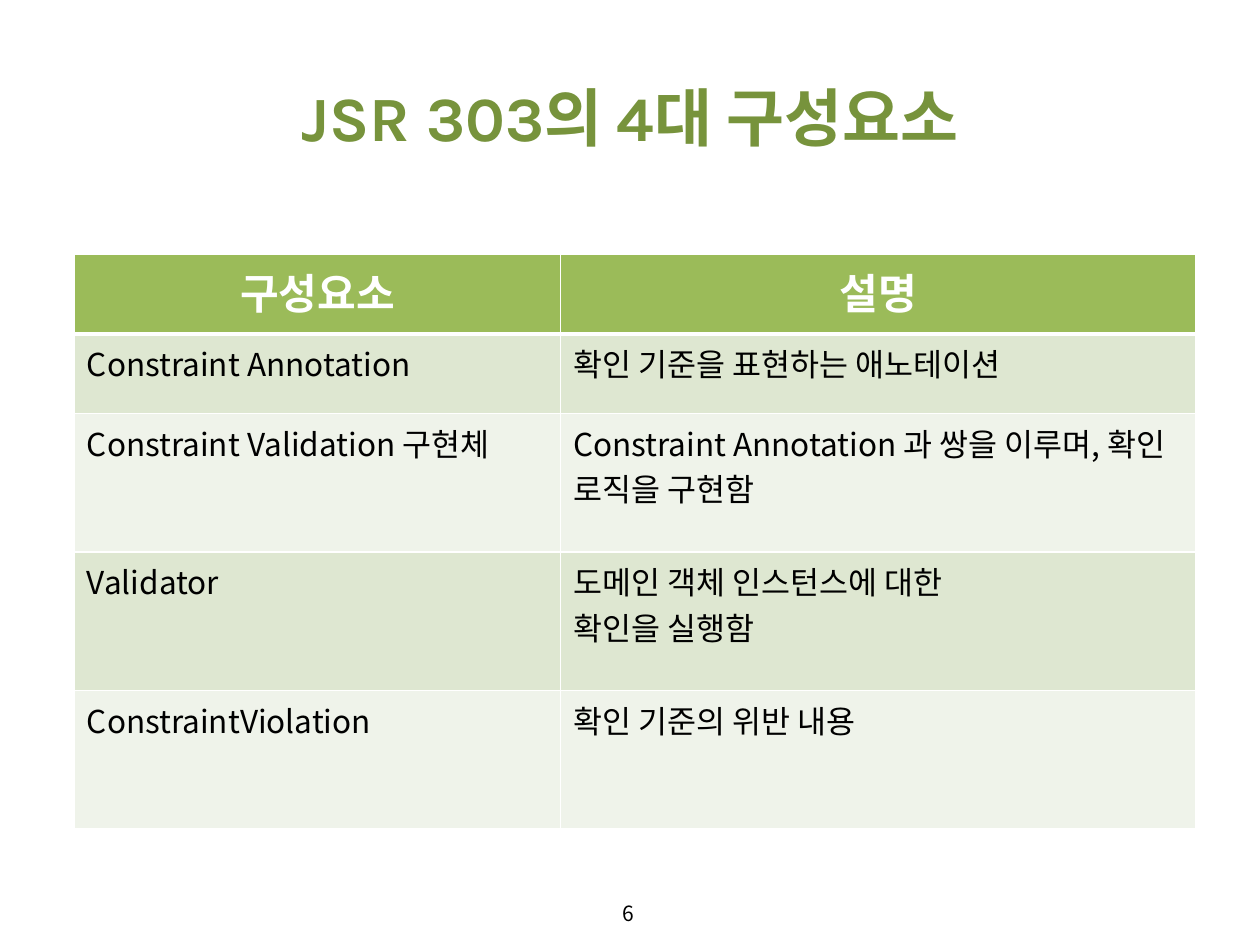
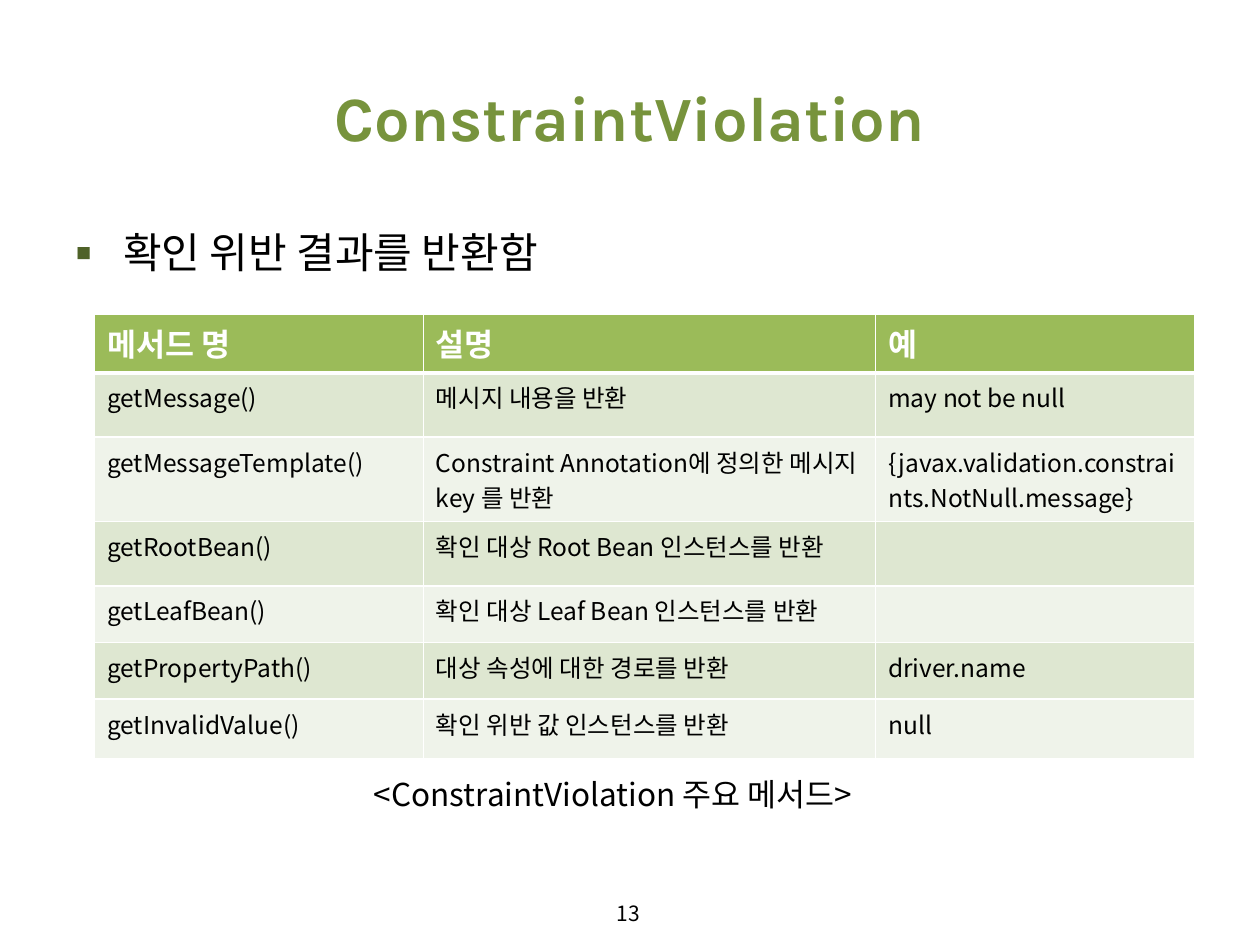
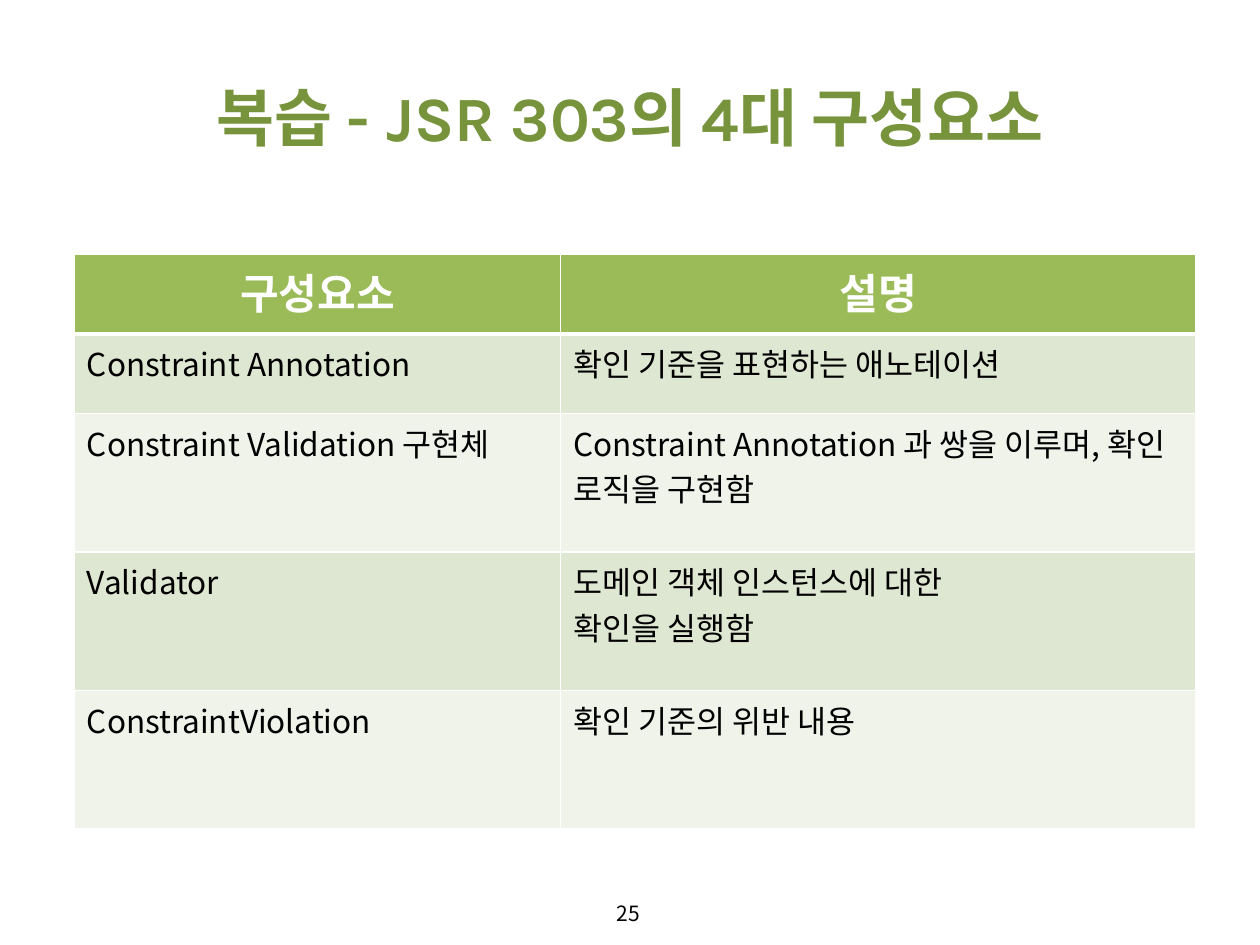
from dataclasses import dataclass

from lxml.etree import SubElement
from pptx import Presentation
from pptx.dml.color import RGBColor
from pptx.enum.text import MSO_ANCHOR, MSO_AUTO_SIZE, PP_ALIGN
from pptx.oxml.ns import qn
from pptx.slide import Slide
from pptx.table import _Cell
from pptx.text.text import TextFrame, _Paragraph
from pptx.util import Inches, Pt

TITLE_GREEN = "77933C"
HEADER_GREEN = "9BBB59"
BULLET_GREEN = "4F6228"
BAND_COLORS = ("EFF3EA", "DEE7D1")
WHITE = "FFFFFF"
BLACK = "000000"
TITLE_FONT = "Karla"
BODY_FONT = "Noto Sans CJK KR"


@dataclass(frozen=True)
class TextStyle:
    size: int
    color: str = BLACK
    font: str = BODY_FONT
    bold: bool = False
    align: PP_ALIGN = PP_ALIGN.LEFT


@dataclass(frozen=True)
class Box:
    left: float
    top: float
    width: float
    height: float


@dataclass(frozen=True)
class TableContent:
    left: float
    top: float
    columns: tuple[float, ...]
    row_heights: tuple[float, ...]
    header: TextStyle
    body: TextStyle
    rows: tuple[tuple[str, ...], ...]


TITLE_BOX = Box(0.5, 0.3, 9, 1.25)
TITLE_STYLE = TextStyle(36, TITLE_GREEN, TITLE_FONT, True, PP_ALIGN.CENTER)
NUMBER_BOX = Box(3.82, 7.05, 2.33, 0.4)
NUMBER_STYLE = TextStyle(12, align=PP_ALIGN.CENTER)

COMPONENTS = TableContent(
    0.59, 2.02, (3.86, 5.04), (0.63, 0.63, 1.1, 1.1, 1.1),
    TextStyle(24, WHITE, bold=True, align=PP_ALIGN.CENTER),
    TextStyle(18),
    (
        ("구성요소", "설명"),
        ("Constraint Annotation", "확인 기준을 표현하는 애노테이션"),
        ("Constraint Validation 구현체",
         "Constraint Annotation 과 쌍을 이루며, 확인 로직을 구현함"),
        ("Validator", "도메인 객체 인스턴스에 대한\n확인을 실행함"),
        ("ConstraintViolation", "확인 기준의 위반 내용"),
    ),
)

METHODS = TableContent(
    0.75, 2.49, (2.61, 3.59, 2.53), (0.47, 0.51, 0.67, 0.51, 0.45, 0.45, 0.47),
    TextStyle(18, WHITE, bold=True),
    TextStyle(14),
    (
        ("메서드 명", "설명", "예"),
        ("getMessage()", "메시지 내용을 반환", "may not be null"),
        ("getMessageTemplate()", "Constraint Annotation에 정의한 메시지 key 를 반환",
         "{javax.validation.constraints.NotNull.message}"),
        ("getRootBean()", "확인 대상 Root Bean 인스턴스를 반환", ""),
        ("getLeafBean()", "확인 대상 Leaf Bean 인스턴스를 반환", ""),
        ("getPropertyPath()", "대상 속성에 대한 경로를 반환", "driver.name"),
        ("getInvalidValue()", "확인 위반 값 인스턴스를 반환", "null"),
    ),
)


def rgb(color: str) -> RGBColor:
    return RGBColor.from_string(color)


def write_text(paragraph: _Paragraph, text: str, style: TextStyle) -> None:
    paragraph.alignment = style.align
    for index, line in enumerate(text.split("\n")):
        if index:
            paragraph.add_line_break()
        run = paragraph.add_run()
        run.text = line
        run.font.size = Pt(style.size)
        run.font.bold = style.bold
        run.font.name = style.font
        run.font.color.rgb = rgb(style.color)
        SubElement(run.font._element, qn("a:ea"), typeface=BODY_FONT)


def add_text(slide: Slide, box: Box, text: str, style: TextStyle,
             anchor: MSO_ANCHOR = MSO_ANCHOR.TOP) -> TextFrame:
    shape = slide.shapes.add_textbox(
        Inches(box.left), Inches(box.top), Inches(box.width), Inches(box.height))
    frame = shape.text_frame
    frame.word_wrap = True
    frame.vertical_anchor = anchor
    write_text(frame.paragraphs[0], text, style)
    return frame


def add_bullet(paragraph: _Paragraph) -> None:
    paragraph.space_before = Pt(5)
    properties = paragraph._p.get_or_add_pPr()
    indent = Inches(0.38)
    properties.set("marL", str(indent))
    properties.set("indent", str(-indent))
    color = SubElement(properties, qn("a:buClr"))
    SubElement(color, qn("a:srgbClr"), val=BULLET_GREEN)
    SubElement(properties, qn("a:buFont"), typeface=TITLE_FONT)
    SubElement(properties, qn("a:buChar"), char="▪")


def add_borders(cell: _Cell, row_index: int) -> None:
    properties = cell._tc.get_or_add_tcPr()
    for side in ("L", "R", "T", "B"):
        below_header = (side, row_index) in (("B", 0), ("T", 1))
        line = SubElement(properties, qn(f"a:ln{side}"),
                          w=str(Pt(3 if below_header else 1)))
        fill = SubElement(line, qn("a:solidFill"))
        SubElement(fill, qn("a:srgbClr"), val=WHITE)


def add_table(slide: Slide, content: TableContent) -> None:
    table = slide.shapes.add_table(
        len(content.rows), len(content.columns),
        Inches(content.left), Inches(content.top),
        Inches(sum(content.columns)), Inches(sum(content.row_heights))).table
    table.horz_banding = False
    for column, width in zip(table.columns, content.columns):
        column.width = Inches(width)
    for row_index, texts in enumerate(content.rows):
        table.rows[row_index].height = Inches(content.row_heights[row_index])
        is_header = row_index == 0
        style = content.header if is_header else content.body
        color = HEADER_GREEN if is_header else BAND_COLORS[row_index % 2]
        for column_index, text in enumerate(texts):
            cell = table.cell(row_index, column_index)
            add_borders(cell, row_index)
            cell.fill.solid()
            cell.fill.fore_color.rgb = rgb(color)
            if text:
                write_text(cell.text_frame.paragraphs[0], text, style)


def add_slide(presentation: Presentation, title: str, number: int,
              content: TableContent) -> Slide:
    slide = presentation.slides.add_slide(presentation.slide_layouts[6])
    add_text(slide, TITLE_BOX, title, TITLE_STYLE, MSO_ANCHOR.MIDDLE)
    add_table(slide, content)
    add_text(slide, NUMBER_BOX, str(number), NUMBER_STYLE, MSO_ANCHOR.MIDDLE)
    return slide


def add_method_notes(slide: Slide) -> None:
    summary = add_text(slide, Box(0.5, 1.75, 9, 4.95), "확인 위반 결과를 반환함",
                       TextStyle(24, font=TITLE_FONT))
    add_bullet(summary.paragraphs[0])
    caption = add_text(slide, Box(2.87, 6.1, 4.33, 0.4),
                       "<ConstraintViolation 주요 메서드>", TextStyle(18))
    caption.word_wrap = False
    caption.auto_size = MSO_AUTO_SIZE.SHAPE_TO_FIT_TEXT


def main() -> None:
    presentation = Presentation()
    presentation.slide_width = Inches(10)
    presentation.slide_height = Inches(7.5)
    add_slide(presentation, "JSR 303의 4대 구성요소", 6, COMPONENTS)
    add_method_notes(add_slide(presentation, "ConstraintViolation", 13, METHODS))
    add_slide(presentation, "복습 - JSR 303의 4대 구성요소", 25, COMPONENTS)
    presentation.save("out.pptx")


if __name__ == "__main__":
    main()
